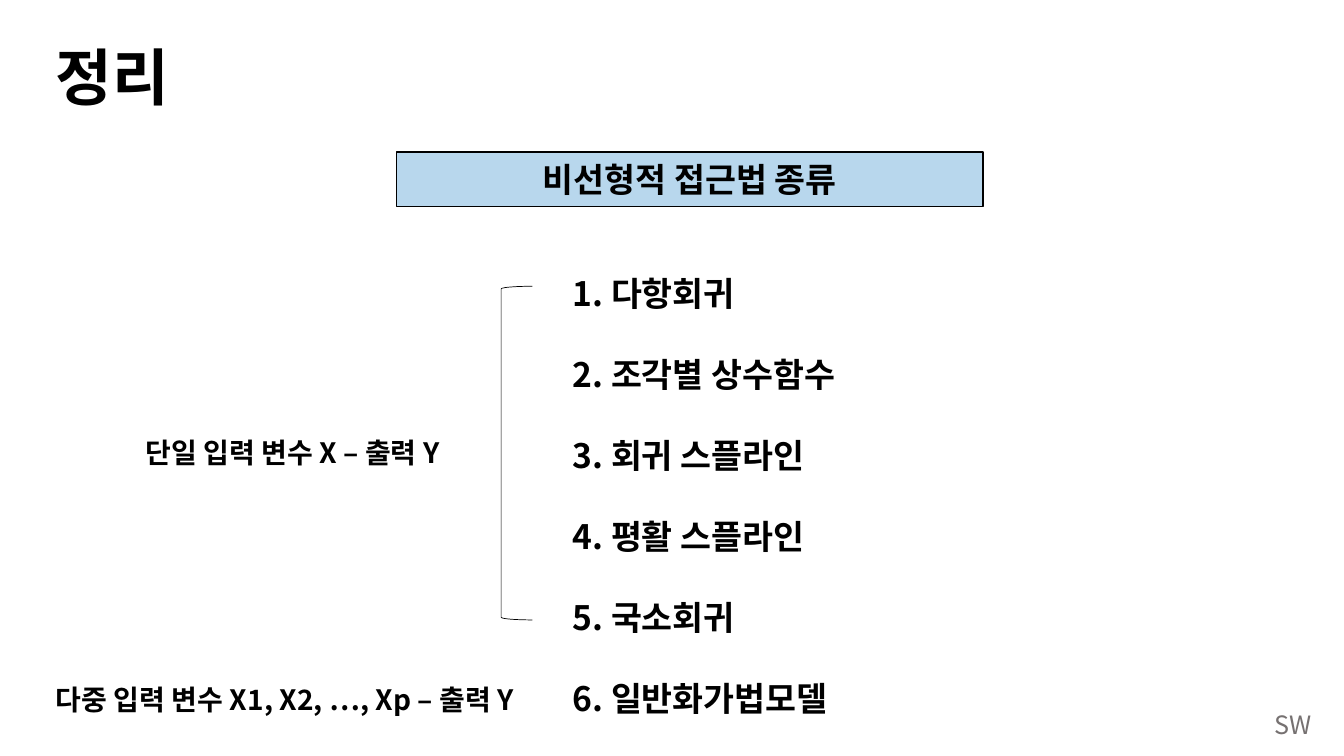
"""Build a summary slide listing the kinds of nonlinear approaches."""
from lxml import etree
from pptx import Presentation
from pptx.dml.color import RGBColor
from pptx.enum import shapes, text
from pptx.oxml import ns
from pptx.util import Inches, Pt

COLORS = {"ink": "000000", "band": "0070C0", "mark": "767171"}
FONT = "Noto Sans CJK KR"
CENTER, LEFT = text.PP_ALIGN.CENTER, text.PP_ALIGN.LEFT
TOP, MIDDLE = text.MSO_ANCHOR.TOP, text.MSO_ANCHOR.MIDDLE


def place(shape, box):
    for name, value in zip(("left", "top", "width", "height"), box):
        setattr(shape, name, Inches(value))


def write(shape, lines, size, align=LEFT, anchor=TOP, bold=True,
          color="ink", font=FONT, wrap=True, spacing=None):
    frame = shape.text_frame
    frame.text = "\n".join(lines)
    frame_format = {"word_wrap": wrap, "vertical_anchor": anchor,
                    "auto_size": text.MSO_AUTO_SIZE.NONE}
    for name, value in frame_format.items():
        setattr(frame, name, value)
    paragraph_format = {"alignment": align, "space_before": Pt(0), "line_spacing": spacing}
    font_format = {"name": font, "size": Pt(size), "bold": bold}
    for paragraph in frame.paragraphs:
        for name, value in paragraph_format.items():
            setattr(paragraph, name, value)
        run = paragraph.runs[0]
        for name, value in font_format.items():
            setattr(run.font, name, value)
        run.font.color.rgb = RGBColor.from_string(COLORS[color])
        east_asian = etree.SubElement(run.font._element, ns.qn("a:ea"))
        east_asian.set("typeface", FONT)


presentation = Presentation()
presentation.slide_width = Inches(13.33)
presentation.slide_height = Inches(7.5)
slide = presentation.slides.add_slide(presentation.slide_layouts[1])

title = slide.shapes.title
place(title, (0.45, 0.07, 11.5, 1.45))
write(title, ["정리"], 44, anchor=MIDDLE, font="Times New Roman", spacing=0.9)

heading = slide.shapes.add_shape(shapes.MSO_SHAPE.RECTANGLE, 0, 0, 0, 0)
place(heading, (3.93, 1.51, 5.82, 0.54))
heading.shadow.inherit = False
heading.fill.solid()
heading.fill.fore_color.rgb = RGBColor.from_string(COLORS["band"])
band_color = heading._element.spPr.find(".//" + ns.qn("a:srgbClr"))
etree.SubElement(band_color, ns.qn("a:alpha")).set("val", "28000")
write(heading, ["비선형적 접근법 종류"], 24, CENTER, MIDDLE)

methods = ["다항회귀", "조각별 상수함수", "회귀 스플라인",
           "평활 스플라인", "국소회귀", "일반화가법모델"]
method_list = slide.placeholders[1]
place(method_list, (5.58, 2.66, 3.2, 4.54))
write(method_list, [f"{number}. {method}" for number, method in enumerate(methods, 1)],
      24, wrap=False, spacing=Pt(28.9))
for paragraph in method_list.text_frame.paragraphs:
    paragraph.space_after = Pt(28.9)
    properties = paragraph._p.get_or_add_pPr()
    properties.set("marL", "0")
    properties.set("indent", "0")
    etree.SubElement(properties, ns.qn("a:buNone"))

bracket = slide.shapes.add_shape(shapes.MSO_SHAPE.LEFT_BRACKET, 0, 0, 0, 0)
place(bracket, (4.97, 2.84, 0.31, 3.31))
bracket.shadow.inherit = False
bracket.fill.background()

for outlined, width in ((heading, 1), (bracket, 0.5)):
    outlined.line.color.rgb = RGBColor.from_string(COLORS["ink"])
    outlined.line.width = Pt(width)

labels = [
    ("단일 입력 변수 X – 출력 Y", (0.83, 4.27, 4.14, 0.44), {"size": 20, "align": CENTER}),
    ("다중 입력 변수 X1, X2, …, Xp – 출력 Y", (0.21, 6.72, 5.23, 0.44),
     {"size": 20, "align": CENTER}),
    ("SW", (12.54, 6.99, 0.58, 0.4),
     {"size": 18, "bold": False, "color": "mark", "wrap": False}),
]
for wording, box, label_format in labels:
    label = slide.shapes.add_textbox(0, 0, 0, 0)
    place(label, box)
    write(label, [wording], **label_format)

presentation.save("out.pptx")
